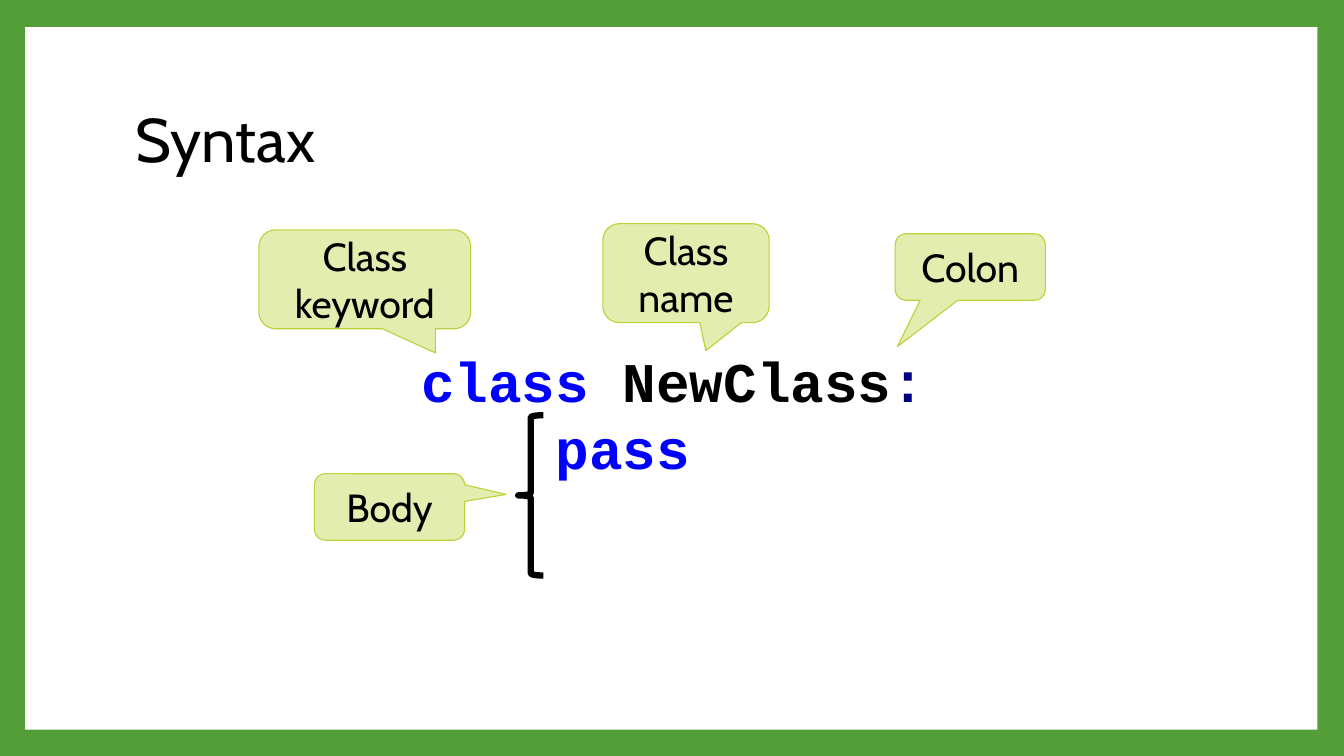
from pptx import Presentation
from pptx.dml.color import RGBColor
from pptx.enum.shapes import MSO_SHAPE
from pptx.enum.text import MSO_ANCHOR, PP_ALIGN
from pptx.util import Pt

GREEN, WHITE, BLACK = "549E39", "FFFFFF", "000000"
BLUE, NAVY = "0000FF", "000080"
PALE, LIME = "E4EDB0", "C0CF3A"
SANS, MONO = "Cabin", "Courier New"

TITLE = "Syntax"
# Each line of code: (text, colour, bold)
CODE = [
    [("class ", BLUE, True), ("NewClass", BLACK, True), (":", NAVY, True)],
    [("    ", BLACK, False), ("pass", BLUE, True)],
]
# Label, (left, top, width, height), pointer tip relative to the centre
CALLOUTS = [
    ("Class keyword", (185, 164.2, 151.2, 70.6), (0.334, 0.745)),
    ("Class name", (430.6, 159.8, 118.8, 70.6), (0.119, 0.785)),
    ("Colon", (639.4, 167, 107.3, 47.5), (-0.485, 1.198)),
    ("Body", (224.6, 338.4, 107.3, 47.5), (0.776, -0.189)),
]
TITLE_BOX = (90, 48.2, 777.6, 106.6)
CODE_BOX = (293.8, 244.1, 404.6, 104.4)
BRACE_BOX = (370.1, 296.6, 18, 114.5)
PANEL_BOX = (18, 19.4, 923, 501.8)


def color(code):
    return RGBColor.from_string(code)


def place(box):
    return [Pt(n) for n in box]


def style(font, size, name, code, bold=False):
    font.size, font.name, font.bold = Pt(size), name, bold
    font.color.rgb = color(code)


def add_shape(kind, box, fill=None, line=None, weight=0):
    shape = slide.shapes.add_shape(kind, *place(box))
    shape.shadow.inherit = False
    if fill:
        shape.fill.solid()
        shape.fill.fore_color.rgb = color(fill)
    else:
        shape.fill.background()
    if line:
        shape.line.color.rgb = color(line)
        shape.line.width = Pt(weight)
    else:
        shape.line.fill.background()
    return shape


def add_frame(box, anchor):
    frame = slide.shapes.add_textbox(*place(box)).text_frame
    frame.word_wrap = True
    frame.vertical_anchor = anchor
    return frame


deck = Presentation()
deck.slide_width, deck.slide_height = Pt(960), Pt(540)
slide = deck.slides.add_slide(deck.slide_layouts[6])
slide.background.fill.solid()
slide.background.fill.fore_color.rgb = color(GREEN)
add_shape(MSO_SHAPE.RECTANGLE, PANEL_BOX, WHITE)

title = add_frame(TITLE_BOX, MSO_ANCHOR.MIDDLE).paragraphs[0]
title.text = TITLE
title.line_spacing = 0.9
style(title.font, 44, SANS, BLACK)

frame = add_frame(CODE_BOX, MSO_ANCHOR.TOP)
for row, parts in enumerate(CODE):
    para = frame.add_paragraph() if row else frame.paragraphs[0]
    for text, code, bold in parts:
        run = para.add_run()
        run.text = text
        style(run.font, 40, MONO, code, bold)

for label, box, tip in CALLOUTS:
    shape = add_shape(MSO_SHAPE.ROUNDED_RECTANGULAR_CALLOUT, box, PALE, LIME, 0.79)
    for i, value in enumerate((*tip, 0.167)):
        shape.adjustments[i] = value
    shape.text_frame.word_wrap = True
    shape.text_frame.vertical_anchor = MSO_ANCHOR.MIDDLE
    para = shape.text_frame.paragraphs[0]
    para.text = label
    para.alignment = PP_ALIGN.CENTER
    style(para.font, 28, SANS, BLACK)

add_shape(MSO_SHAPE.LEFT_BRACE, BRACE_BOX, None, BLACK, 4.5)

deck.save("out.pptx")
